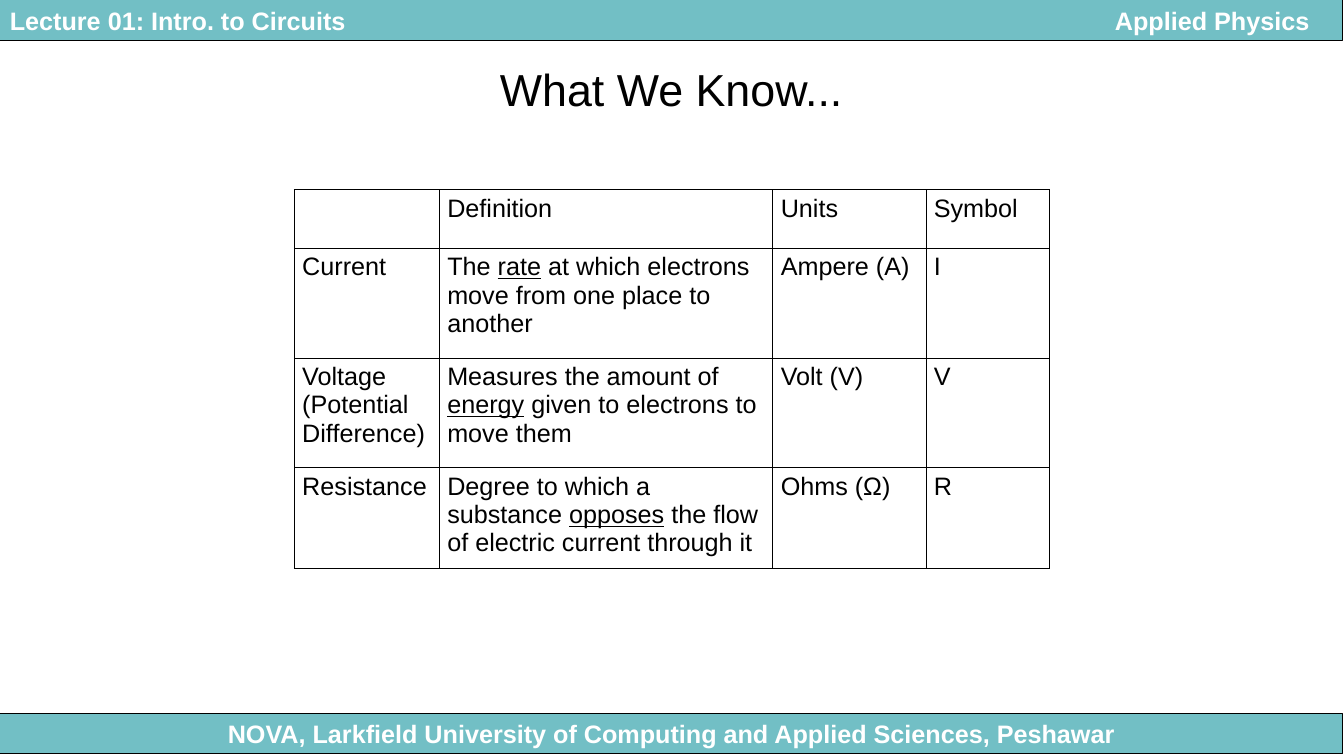
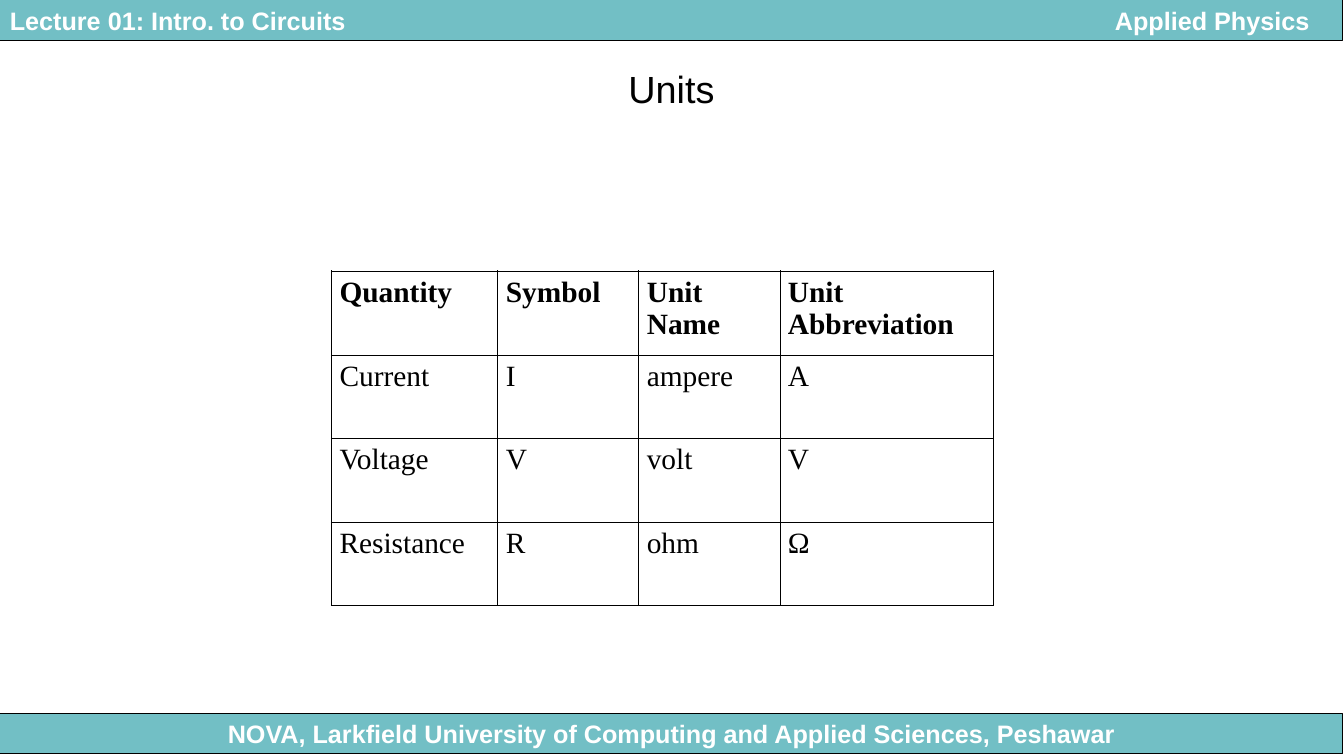
from lxml.etree import SubElement
from pptx import Presentation
from pptx.dml.color import RGBColor
from pptx.enum.shapes import MSO_SHAPE as Shape
from pptx.enum.text import MSO_ANCHOR as Anchor, PP_ALIGN as Align
from pptx.oxml.ns import qn
from pptx.util import Pt

PX = 9144  # EMU in one px, 100 px to the inch
PAGE_W, PAGE_H = 1334, 750
BAND_W, BAND_H, FOOTER_TOP = 1333, 40, 708
RIGHT_TAB = 1290
INNER, OUTER = 0.45, 1.08  # table rule widths in points

COLORS = {"band": "72BFC5", "ink": "000000", "paper": "FFFFFF"}

# Shared band wording
HEADER = "Lecture 01: Intro. to Circuits\tApplied Physics"
FOOTER = "NOVA, Larkfield University of Computing and Applied Sciences, Peshawar"

# Text styles: font attributes plus a colour name
BAND_TEXT = {"name": "Arial", "size": Pt(18), "bold": True, "color": "paper"}
TITLE_TEXT = {"name": "Arial", "size": Pt(32), "color": "ink"}
SUBTITLE_TEXT = {**TITLE_TEXT, "size": Pt(27)}
PLAIN_CELL = {"name": "Arial", "size": Pt(18), "bold": False, "color": "ink"}
SERIF_CELL = {**PLAIN_CELL, "name": "Times New Roman", "size": Pt(21)}
SERIF_HEAD = {**SERIF_CELL, "bold": True}

# Underscores enclose underlined words
KNOWN_ROWS = [
    ["", "Definition", "Units", "Symbol"],
    ["Current", "The _rate_ at which electrons move from one place to another",
     "Ampere (A)", "I"],
    ["Voltage (Potential Difference)",
     "Measures the amount of _energy_ given to electrons to move them",
     "Volt (V)", "V"],
    ["Resistance",
     "Degree to which a substance _opposes_ the flow of electric current through it",
     "Ohms (Ω)", "R"],
]
UNIT_ROWS = [
    ["Quantity", "Symbol", "Unit Name", "Unit Abbreviation"],
    ["Current", "I", "ampere", "A"],
    ["Voltage", "V", "volt", "V"],
    ["Resistance", "R", "ohm", "Ω"],
]


def rgb(name):
    return RGBColor.from_string(COLORS[name])


def emu(*lengths):
    return [length * PX for length in lengths]


def apply(target, values):
    for name, value in values.items():
        setattr(target, name, value)


def write(para, text, style):
    """Fill a paragraph, underlining the words between underscores."""
    font_values = {key: value for key, value in style.items() if key != "color"}
    for index, part in enumerate(text.split("_")):
        if not part:
            continue
        span = para.add_run()
        span.text = part
        apply(span.font, font_values)
        span.font.color.rgb = rgb(style["color"])
        if index % 2:
            span.font.underline = True


def fill_frame(frame, text, style, align):
    side, end = emu(10, 5)
    apply(frame, {"word_wrap": True, "vertical_anchor": Anchor.MIDDLE,
                  "margin_left": side, "margin_right": side,
                  "margin_top": end, "margin_bottom": end})
    para = frame.paragraphs[0]
    para.alignment = align
    write(para, text, style)
    return para


def add_band(page, top, text, align):
    band = page.shapes.add_shape(Shape.RECTANGLE, *emu(0, top, BAND_W, BAND_H))
    band.shadow.inherit = False
    band.fill.solid()
    band.fill.fore_color.rgb = rgb("band")
    band.line.color.rgb = rgb("ink")
    band.line.width = Pt(0.75)
    return fill_frame(band.text_frame, text, BAND_TEXT, align)


def add_right_tab(para, position):
    props = para._p.get_or_add_pPr()
    tabs = SubElement(props, qn("a:tabLst"))
    SubElement(tabs, qn("a:tab"), pos=str(position * PX), algn="r")


def add_page(deck, title, style):
    """Add a page with the shared bands and a centred title."""
    page = deck.slides.add_slide(deck.slide_layouts[6])
    add_band(page, FOOTER_TOP, FOOTER, Align.CENTER)
    header = add_band(page, 0, HEADER, Align.LEFT)
    add_right_tab(header, RIGHT_TAB)
    box = page.shapes.add_textbox(*emu(0, 42, BAND_W, 92))
    fill_frame(box.text_frame, title, style, Align.CENTER)
    return page


def set_borders(cell, widths):
    props = cell._tc.get_or_add_tcPr()
    for index, (side, width) in enumerate(widths.items()):
        line = props.makeelement(qn(f"a:ln{side}"), {"w": str(Pt(width))})
        fill = SubElement(line, qn("a:solidFill"))
        SubElement(fill, qn("a:srgbClr"), val=COLORS["ink"])
        props.insert(index, line)  # borders come before the cell fill


def add_grid(page, left, top, columns, heights, rows, head, body, edge):
    """Add a ruled table whose outer rules have the width edge."""
    frame = page.shapes.add_table(len(heights), len(columns),
                                  *emu(left, top, sum(columns), sum(heights)))
    table = frame.table
    apply(table, {"first_row": False, "horz_banding": False})
    for column, width in zip(table.columns, columns):
        column.width = width * PX
    for row, height in zip(table.rows, heights):
        row.height = height * PX
    side, end = emu(8, 5)
    last_row, last_column = len(heights) - 1, len(columns) - 1
    for r, texts in enumerate(rows):
        for c, text in enumerate(texts):
            cell = table.cell(r, c)
            apply(cell, {"margin_left": side, "margin_right": side,
                         "margin_top": end, "margin_bottom": end})
            cell.fill.background()
            write(cell.text_frame.paragraphs[0], text, body if r else head)
            set_borders(cell, {"L": INNER if c else edge,
                               "R": edge if c == last_column else INNER,
                               "T": INNER if r else edge,
                               "B": edge if r == last_row else INNER})


def main():
    deck = Presentation()
    deck.slide_width, deck.slide_height = emu(PAGE_W, PAGE_H)

    # Known quantities
    page = add_page(deck, "What We Know...", TITLE_TEXT)
    add_grid(page, 292, 188, [144, 331, 152, 123], [58, 109, 109, 98],
             KNOWN_ROWS, PLAIN_CELL, PLAIN_CELL, INNER)

    # Units
    page = add_page(deck, "Units", SUBTITLE_TEXT)
    add_grid(page, 329, 269, [165, 140, 140, 212], [83] * 4,
             UNIT_ROWS, SERIF_HEAD, SERIF_CELL, OUTER)

    deck.save("out.pptx")


if __name__ == "__main__":
    main()
